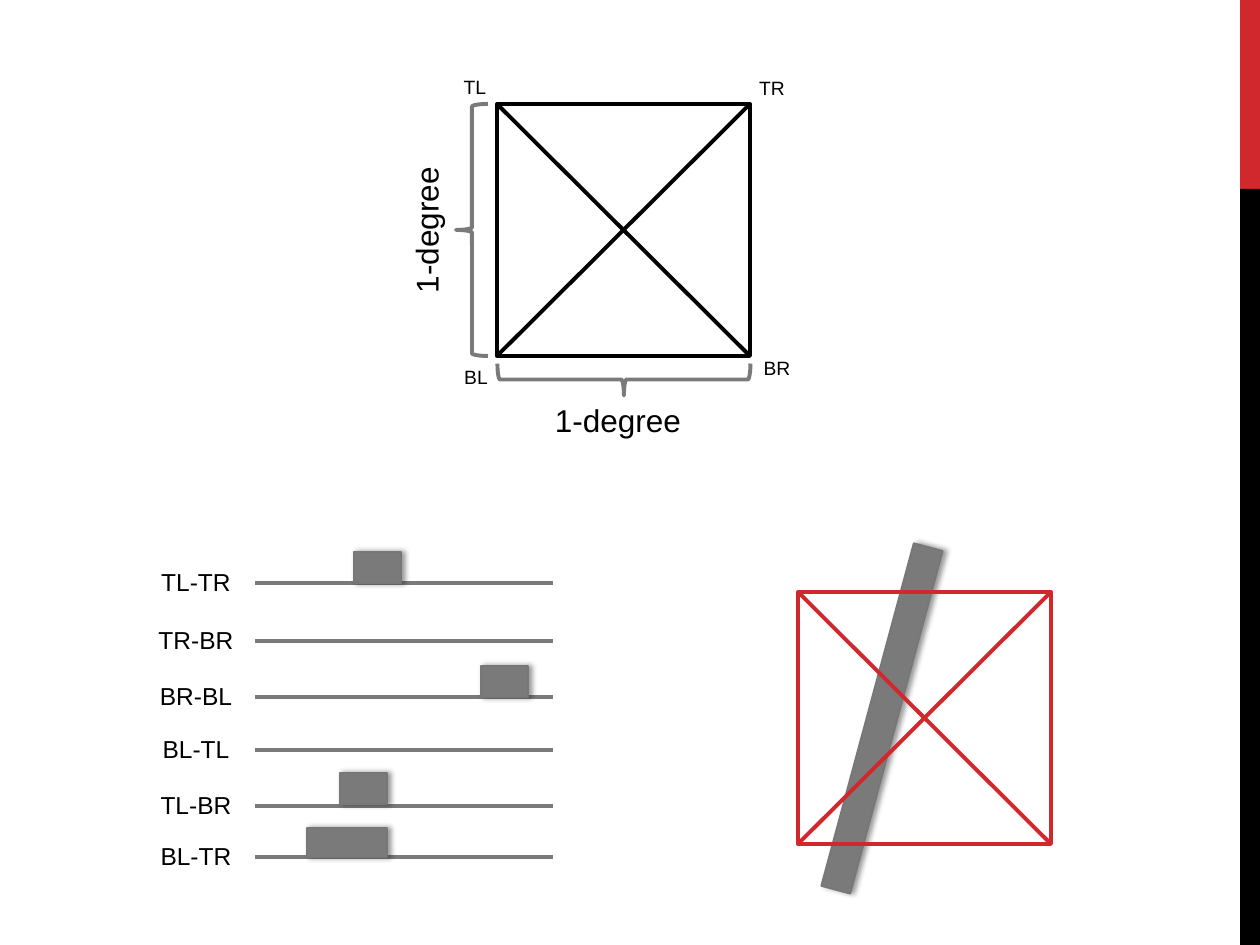
from pptx import Presentation
from pptx.dml.color import RGBColor
from pptx.enum.shapes import MSO_CONNECTOR, MSO_SHAPE
from pptx.enum.text import MSO_AUTO_SIZE, PP_ALIGN
from pptx.oxml import parse_xml
from pptx.oxml.ns import nsdecls
from pptx.util import Pt

PX = 914400 / 126
RED = RGBColor(0xD1, 0x28, 0x2E)
BLACK = RGBColor(0, 0, 0)
WHITE = RGBColor(0xFF, 0xFF, 0xFF)
GRAY = RGBColor(0x7A, 0x7A, 0x7A)
EDGE = RGBColor(0x77, 0x77, 0x77)
RECT = MSO_SHAPE.RECTANGLE
BRACE = MSO_SHAPE.LEFT_BRACE
STRAIGHT = MSO_CONNECTOR.STRAIGHT
FIT = MSO_AUTO_SIZE.SHAPE_TO_FIT_TEXT
CENTER = PP_ALIGN.CENTER
SHADOW = (
    '<a:outerShdw blurRad="39370" dist="22860" dir="0">'
    '<a:srgbClr val="000000"><a:alpha val="40000"/></a:srgbClr></a:outerShdw>'
)


def emu(*lengths):
    """Turn px lengths into EMU."""
    return [round(length * PX) for length in lengths]


def add_effects(shape, effects=""):
    """Give a shape or connector its own effect list."""
    shape._element.spPr.append(
        parse_xml(f'<a:effectLst {nsdecls("a")}>{effects}</a:effectLst>'))


def add_outline(shapes, preset, box, fill=None, line=None, width=2.25, rotation=0):
    """Add a preset shape with optional fill and line and no shadow."""
    outline = shapes.add_shape(preset, *emu(*box))
    outline.rotation = rotation
    if fill is None:
        outline.fill.background()
    else:
        outline.fill.solid()
        outline.fill.fore_color.rgb = fill
    if line is None:
        outline.line.fill.background()
    else:
        outline.line.color.rgb = line
        outline.line.width = Pt(width)
    outline.shadow.inherit = False
    return outline


def add_bar(shapes, box, rotation=0):
    """Add a gray bar with a soft shadow to its right."""
    bar = add_outline(shapes, RECT, box, GRAY, EDGE, 1, rotation)
    bar.shadow.inherit = True
    add_effects(bar, SHADOW)


def add_line(shapes, start, end, color):
    """Add a straight line between two points."""
    line = shapes.add_connector(STRAIGHT, *emu(*start, *end))
    line.line.color.rgb = color
    line.line.width = Pt(2.25)
    add_effects(line)


def add_label(shapes, text, box, size, rotation=0):
    """Add a one-line centred label."""
    label = shapes.add_textbox(*emu(*box))
    label.rotation = rotation
    frame = label.text_frame
    frame.word_wrap = False
    frame.auto_size = FIT
    paragraph = frame.paragraphs[0]
    paragraph.text = text
    paragraph.alignment = CENTER
    paragraph.font.name = "Arial"
    paragraph.font.size = Pt(size)
    paragraph.font.color.rgb = BLACK


def add_crossed_square(shapes, box, color, fill=None):
    """Add a square with both of its diagonals."""
    left, top, width, height = box
    right, bottom = left + width, top + height
    add_outline(shapes, RECT, box, fill, color)
    add_line(shapes, (right, top), (left, bottom), color)
    add_line(shapes, (right, bottom), (left, top), color)


def add_side_band(slide, box):
    """Add the red and black band along the slide edge."""
    left, top, width, height = box
    red_height = height // 5
    add_outline(slide.shapes, RECT, (left, top, width, red_height), RED)
    add_outline(slide.shapes, RECT,
                (left, top + red_height, width, height - red_height), BLACK)


def add_stimulus(slide, box):
    """Add the red crossed square over the tilted bar."""
    shapes = slide.shapes.add_group_shape().shapes
    left, top, _, _ = box
    add_bar(shapes, (left + 69, top - 51, 30, 355), 15.1)
    add_crossed_square(shapes, box, RED)


def add_profiles(slide, box):
    """Add one labelled line per side and diagonal, with its bar if crossed."""
    shapes = slide.shapes.add_group_shape().shapes
    left, top, width, _ = box
    profiles = [
        ("TL-TR", 0, (99, -31, 47, 31)), ("TR-BR", 58, None),
        ("BR-BL", 114, (226, -31, 47, 31)), ("BL-TL", 167, None),
        ("TL-BR", 223, (85, -33, 47, 31)), ("BL-TR", 274, (52, -29, 80, 29)),
    ]
    for name, offset, bar in profiles:
        y = top + offset
        add_line(shapes, (left, y), (left + width, y), GRAY)
        add_label(shapes, name, (left - 112, y - 22, 106, 43), 14)
        if bar:
            x, rise, length, height = bar
            add_bar(shapes, (left + x, y + rise, length, height))


def add_dimensioned_square(slide, box):
    """Add the black crossed square with corner names and side lengths."""
    shapes = slide.shapes.add_group_shape().shapes
    left, top, width, height = box
    middle_x, middle_y = left + width // 2, top + height // 2
    depth = 32
    add_crossed_square(shapes, box, BLACK, WHITE)
    add_outline(shapes, BRACE, (left - 41, top, depth, height), line=GRAY)
    add_outline(shapes, BRACE,
                (middle_x - depth // 2 + 1, top + height + 23 - width // 2, depth, width),
                line=GRAY, rotation=270)
    add_label(shapes, "1-degree", (middle_x - 273, middle_y - 25, 152, 50), 18, 270)
    add_label(shapes, "1-degree", (middle_x - 81, top + height + 39, 152, 50), 18)
    corners = [("TL", -50, -35), ("TR", 247, -34), ("BR", 252, 246), ("BL", -49, 255)]
    for name, x, y in corners:
        add_label(shapes, name, (left + x, top + y, 56, 36), 11)


def main():
    """Build and save the slide."""
    presentation = Presentation()
    presentation.slide_width, presentation.slide_height = emu(1260, 945)
    slide = presentation.slides.add_slide(presentation.slide_layouts[6])
    add_side_band(slide, (1240, 0, 20, 945))
    add_stimulus(slide, (798, 592, 253, 252))
    add_profiles(slide, (255, 583, 298, 274))
    add_dimensioned_square(slide, (497, 104, 253, 252))
    presentation.save("out.pptx")


if __name__ == "__main__":
    main()
